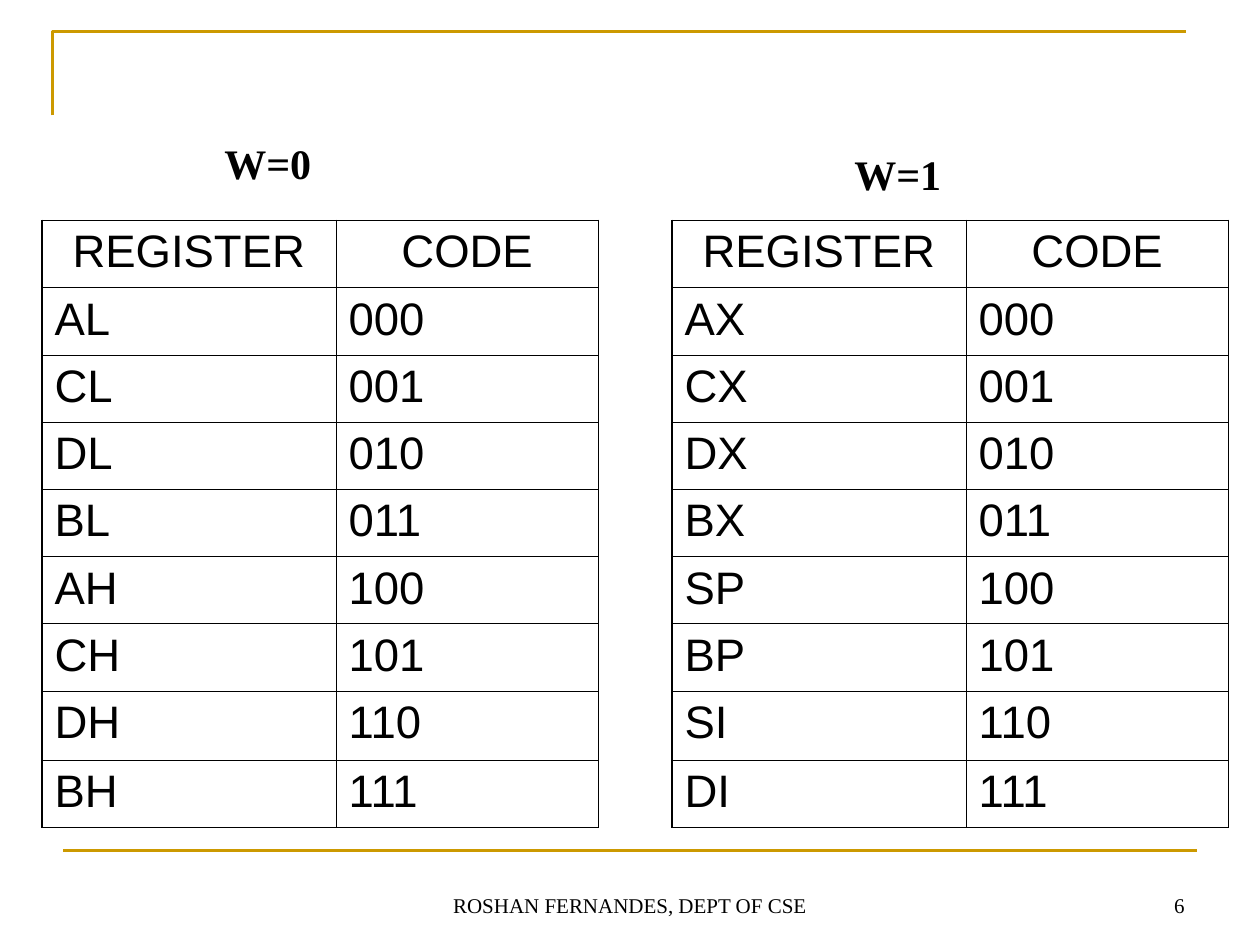
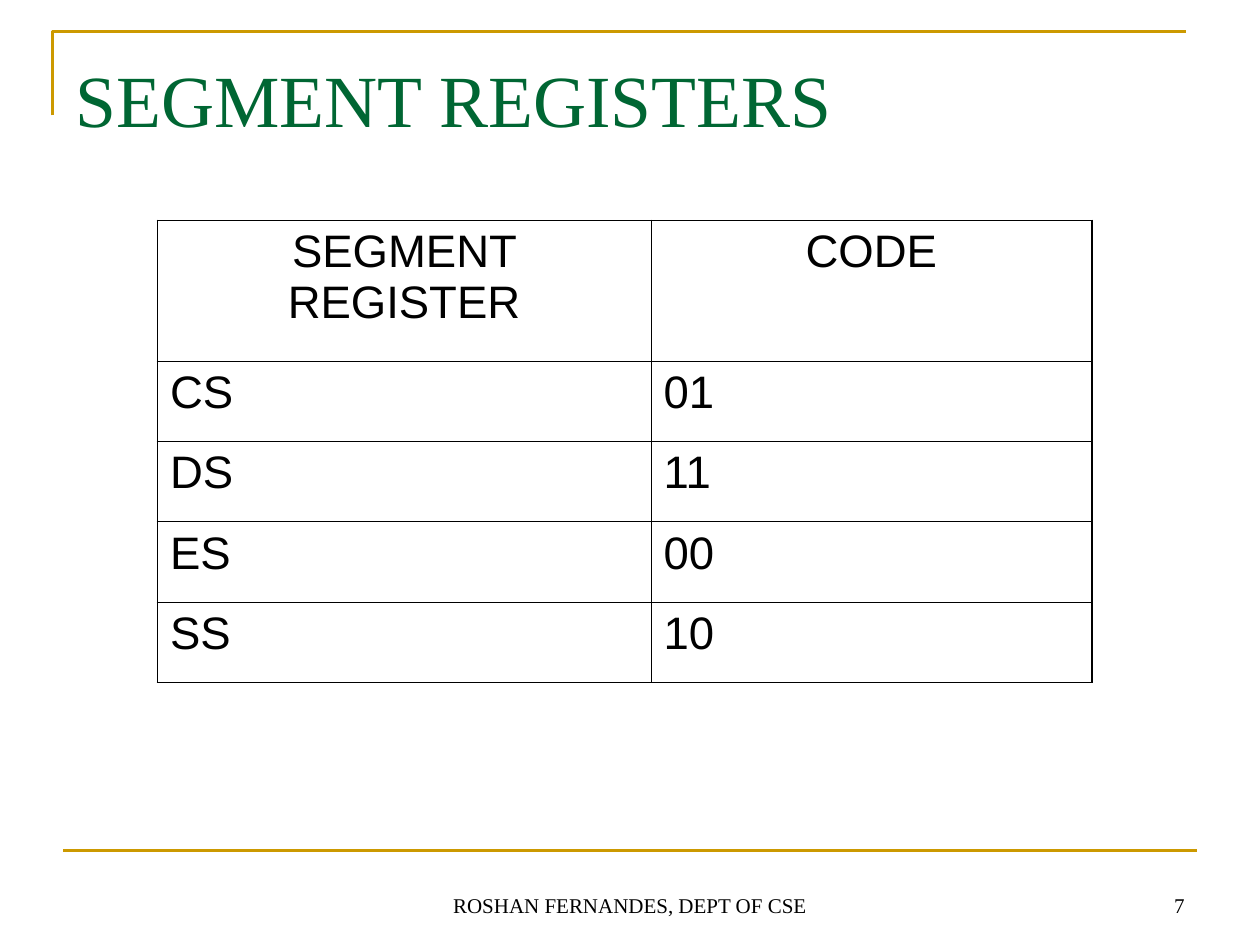
from dataclasses import dataclass

from lxml.etree import SubElement
from pptx import Presentation
from pptx.dml.color import RGBColor
from pptx.enum.shapes import MSO_CONNECTOR
from pptx.enum.text import MSO_ANCHOR, PP_ALIGN
from pptx.oxml import parse_xml
from pptx.oxml.ns import nsdecls, qn
from pptx.util import Pt

CODES = ["000", "001", "010", "011", "100", "101", "110", "111"]
BYTE_REGISTERS = ["AL", "CL", "DL", "BL", "AH", "CH", "DH", "BH"]
WORD_REGISTERS = ["AX", "CX", "DX", "BX", "SP", "BP", "SI", "DI"]
SEGMENT_CODES = [("CS", "01"), ("DS", "11"), ("ES", "00"), ("SS", "10")]

REGISTER_COLUMNS = [168, 150]
REGISTER_ROWS = [38.4] * 7 + [39.6, 38.4]
SEGMENT_COLUMNS = [282, 252]
SEGMENT_ROWS = [80.4] + [45.9] * 4
TABLE_TOP = 126

# Labels and tables are placed by (left, top) in points.
SLIDES = [
    {
        "number": 6,
        "labels": [("W=0", 36, 72), ("W=1", 396, 78)],
        "tables": [
            (left, [("REGISTER", "CODE"), *zip(registers, CODES)],
             REGISTER_COLUMNS, REGISTER_ROWS)
            for left, registers in [(24, BYTE_REGISTERS), (384, WORD_REGISTERS)]
        ],
    },
    {
        "number": 7,
        "title": "SEGMENT REGISTERS",
        "tables": [
            (90, [("SEGMENT REGISTER", "CODE"), *SEGMENT_CODES],
             SEGMENT_COLUMNS, SEGMENT_ROWS),
        ],
    },
]
FOOTER = "ROSHAN FERNANDES, DEPT OF CSE"


@dataclass(frozen=True)
class Theme:
    gold: str = "CC9900"
    green: str = "006633"
    black: str = "000000"
    serif: str = "Times New Roman"
    sans: str = "Arial"
    title_size: float = 42
    label_size: float = 24
    cell_size: float = 26
    footer_size: float = 12
    rule_width: float = 1.5
    outer_border: float = 1.08
    inner_border: float = 0.45


THEME = Theme()


def style_text(paragraph, size, font_name, color=THEME.black, bold=False,
               align=PP_ALIGN.LEFT):
    paragraph.alignment = align
    font = paragraph.runs[0].font
    font.size, font.name, font.bold = Pt(size), font_name, bold
    font.color.rgb = RGBColor.from_string(color)


def add_text(slide, text, box, size, anchor, **style):
    frame = slide.shapes.add_textbox(*map(Pt, box)).text_frame
    frame.word_wrap = True
    frame.vertical_anchor = anchor
    frame.text = text
    style_text(frame.paragraphs[0], size, THEME.serif, **style)
    return frame


def style_rule(rule):
    rule.line.color.rgb = RGBColor.from_string(THEME.gold)
    rule.line.width = Pt(THEME.rule_width)


def add_frame(slide, number):
    """Add the corner rule, bottom rule, footer and slide number."""
    outline = slide.shapes.build_freeform(Pt(30), Pt(66))
    outline.add_line_segments([(Pt(30), Pt(18)), (Pt(678), Pt(18))], close=False)
    corner = outline.convert_to_shape()
    corner.shadow.inherit = False
    corner.fill.background()
    style_rule(corner)

    bottom = slide.shapes.add_connector(
        MSO_CONNECTOR.STRAIGHT, Pt(36), Pt(486), Pt(684), Pt(486))
    SubElement(bottom._element.spPr, qn("a:effectLst"))
    style_rule(bottom)

    for text, left, width, align in [
        (FOOTER, 246, 228, PP_ALIGN.CENTER),
        (str(number), 516, 168, PP_ALIGN.RIGHT),
    ]:
        add_text(slide, text, (left, 492, width, 36), THEME.footer_size,
                 MSO_ANCHOR.BOTTOM, align=align)


def set_borders(cell, outer_sides):
    properties = cell._tc.get_or_add_tcPr()
    for position, side in enumerate("LRTB"):
        width = THEME.outer_border if side in outer_sides else THEME.inner_border
        properties.insert(position, parse_xml(
            f'<a:ln{side} {nsdecls("a")} w="{Pt(width)}"><a:solidFill>'
            f'<a:srgbClr val="{THEME.black}"/></a:solidFill></a:ln{side}>'))


def add_code_table(slide, left, rows, widths, heights):
    table = slide.shapes.add_table(
        len(rows), len(widths), Pt(left), Pt(TABLE_TOP),
        Pt(sum(widths)), Pt(sum(heights))).table
    table.first_row = table.horz_banding = False
    for column, width in zip(table.columns, widths):
        column.width = Pt(width)
    for row, height in zip(table.rows, heights):
        row.height = Pt(height)
    for r, values in enumerate(rows):
        for c, value in enumerate(values):
            cell = table.cell(r, c)
            cell.fill.background()
            edges = {"L": c == 0, "R": c == len(widths) - 1,
                     "T": r == 0, "B": r == len(rows) - 1}
            set_borders(cell, [side for side, outer in edges.items() if outer])
            cell.text_frame.text = value
            style_text(cell.text_frame.paragraphs[0], THEME.cell_size, THEME.sans,
                       align=PP_ALIGN.LEFT if r else PP_ALIGN.CENTER)


def main():
    deck = Presentation()
    deck.slide_width, deck.slide_height = Pt(720), Pt(540)
    for content in SLIDES:
        slide = deck.slides.add_slide(deck.slide_layouts[6])
        add_frame(slide, content["number"])
        if "title" in content:
            title = add_text(slide, content["title"], (36, 21.6, 648, 90),
                             THEME.title_size, MSO_ANCHOR.TOP, color=THEME.green)
            title.margin_top = Pt(9)
        for table in content["tables"]:
            add_code_table(slide, *table)
        for label, left, top in content.get("labels", []):
            add_text(slide, label, (left, top, 234, 42), THEME.label_size,
                     MSO_ANCHOR.MIDDLE, bold=True, align=PP_ALIGN.CENTER)
    deck.save("out.pptx")


if __name__ == "__main__":
    main()
